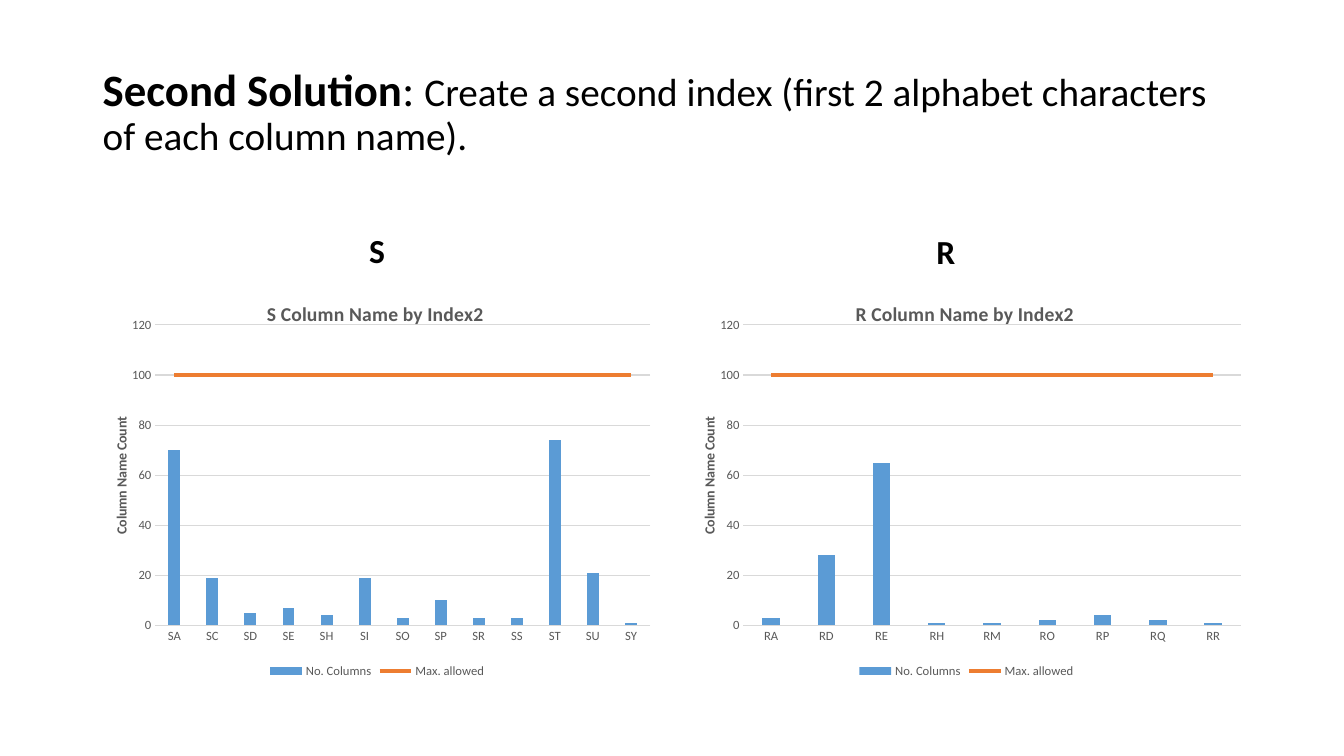
import pptx
import pptx.chart.data
import pptx.dml.color
import pptx.enum.chart
import pptx.enum.text
import pptx.oxml
import pptx.oxml.ns
import pptx.util

Inches = pptx.util.Inches
Pt = pptx.util.Pt

FONT = "Calibri"
COLORS = {"text": "000000", "label": "595959", "grid": "D9D9D9",
          "columns": "5B9BD5", "limit": "ED7D31"}
MAX_ALLOWED = 100
S_COUNTS = {"SA": 70, "SC": 19, "SD": 5, "SE": 7, "SH": 4, "SI": 19, "SO": 3,
            "SP": 10, "SR": 3, "SS": 3, "ST": 74, "SU": 21, "SY": 1}
R_COUNTS = {"RA": 3, "RD": 28, "RE": 65, "RH": 1, "RM": 1, "RO": 2,
            "RP": 4, "RQ": 2, "RR": 1}


def rgb(name):
    """Return the named colour."""
    return pptx.dml.color.RGBColor.from_string(COLORS[name])


def style_font(font, size, color, bold=False):
    """Set typeface, size, colour and weight."""
    font.name, font.size, font.bold = FONT, Pt(size), bold
    font.color.rgb = rgb(color)


def add_text_box(s, left, top, width, height, anchor):
    """Add a wrapping text box and return its first paragraph."""
    box = s.shapes.add_textbox(Inches(left), Inches(top), Inches(width), Inches(height))
    tf = box.text_frame
    tf.word_wrap = True
    tf.vertical_anchor = anchor
    p = tf.paragraphs[0]
    p.line_spacing = 0.9
    return p


def add_title(s):
    """Add the slide title with its bold lead-in."""
    p = add_text_box(s, 0.92, 0.4, 11.5, 1.45, pptx.enum.text.MSO_ANCHOR.MIDDLE)
    for text, size, bold in (
            ("Second Solution", 32, True), (": ", 32, False),
            ("Create a second index (first 2 alphabet characters "
             "of each column name).", 28, False)):
        r = p.add_run()
        r.text = text
        style_font(r.font, size, "text", bold)


def add_heading(s, text, left, top):
    """Add a centred heading above a chart."""
    p = add_text_box(s, left, top, 5.64, 0.9, pptx.enum.text.MSO_ANCHOR.BOTTOM)
    p.text = text
    p.alignment = pptx.enum.text.PP_ALIGN.CENTER
    p.space_before = Pt(10)
    style_font(p.font, 24, "text", True)


def set_layout(parent, index, x, y, w=None, h=None):
    """Place a chart part by fractions of the chart area."""
    for old in parent.findall(pptx.oxml.ns.qn("c:layout")):
        parent.remove(old)
    target = '<c:layoutTarget val="inner"/>' if w else ""
    size = f'<c:w val="{w}"/><c:h val="{h}"/>' if w else ""
    parent.insert(index, pptx.oxml.parse_xml(
        f'<c:layout {pptx.oxml.ns.nsdecls("c")}><c:manualLayout>{target}'
        '<c:xMode val="edge"/><c:yMode val="edge"/>'
        f'<c:x val="{x}"/><c:y val="{y}"/>{size}</c:manualLayout></c:layout>'))


def move_last_series_to_line(chart):
    """Turn the last column series into a line on the same axes."""
    bar = chart.element.xpath("c:chart/c:plotArea/c:barChart")[0]
    ser = bar.xpath("c:ser")[-1]
    for flag in ser.xpath("c:invertIfNegative"):
        ser.remove(flag)
    axes = "".join(f'<c:axId val="{a.get("val")}"/>' for a in bar.xpath("c:axId"))
    line = pptx.oxml.parse_xml(
        f'<c:lineChart {pptx.oxml.ns.nsdecls("c")}><c:grouping val="standard"/>'
        f'<c:varyColors val="0"/><c:marker val="1"/>{axes}</c:lineChart>')
    line.insert(2, ser)
    bar.addnext(line)


def set_title(title_holder, text, size):
    """Write a bold chart or axis title."""
    tf = title_holder.text_frame
    tf.text = text
    style_font(tf.paragraphs[0].font, size, "label", True)


def style_axes(chart):
    """Format both axes, the gridlines and the count title."""
    cat, val = chart.category_axis, chart.value_axis
    for axis in (cat, val):
        axis.major_tick_mark = pptx.enum.chart.XL_TICK_MARK.NONE
        style_font(axis.tick_labels.font, 9, "label")
    for line in (cat.format.line, val.major_gridlines.format.line):
        line.color.rgb, line.width = rgb("grid"), Pt(0.75)
    val.format.line.fill.background()
    val.minimum_scale, val.maximum_scale, val.major_unit = 0, 120, 20
    set_title(val.axis_title, "Column Name Count", 10)


def add_count_chart(s, letter, counts, left, width):
    """Add a column chart of counts with the allowed maximum as a line."""
    data = pptx.chart.data.CategoryChartData()
    data.categories = list(counts)
    data.add_series("No. Columns", list(counts.values()))
    data.add_series("Max. allowed", [MAX_ALLOWED] * len(counts))
    chart = s.shapes.add_chart(
        pptx.enum.chart.XL_CHART_TYPE.COLUMN_CLUSTERED, Inches(left), Inches(2.74),
        Inches(width), Inches(4.03), data).chart
    style_font(chart.font, 10, "text")
    move_last_series_to_line(chart)

    columns, limit = chart.plots
    columns.gap_width = 219
    columns.vary_by_categories = False
    fill = columns.series[0].format.fill
    fill.solid()
    fill.fore_color.rgb = rgb("columns")
    ser = limit.series[0]
    ser.smooth = False
    ser.marker.style = pptx.enum.chart.XL_MARKER_STYLE.NONE
    ser.format.line.color.rgb, ser.format.line.width = rgb("limit"), Pt(2.25)

    style_axes(chart)
    set_title(chart.chart_title, f"{letter} Column Name by Index2", 14)
    chart.has_legend = True
    chart.legend.position = pptx.enum.chart.XL_LEGEND_POSITION.BOTTOM
    chart.legend.include_in_layout = False
    style_font(chart.legend.font, 9, "label")

    root = chart.element
    set_layout(root.xpath("c:chart/c:title")[0], 1, 0.3, 0.05)
    set_layout(root.xpath("c:chart/c:plotArea/c:valAx/c:title")[0], 1, 0.03, 0.34)
    set_layout(root.xpath("c:chart/c:plotArea")[0], 0, 0.11, 0.12, 0.87, 0.74)


def main():
    """Build the slide and save it."""
    prs = pptx.Presentation()
    prs.slide_width, prs.slide_height = Inches(13.33), Inches(7.5)
    s = prs.slides.add_slide(prs.slide_layouts[6])
    add_title(s)
    add_heading(s, "S", 0.92, 1.84)
    add_heading(s, "R", 6.56, 1.85)
    add_count_chart(s, "S", S_COUNTS, 0.92, 5.64)
    add_count_chart(s, "R", R_COUNTS, 6.75, 5.67)
    prs.save("out.pptx")


main()
